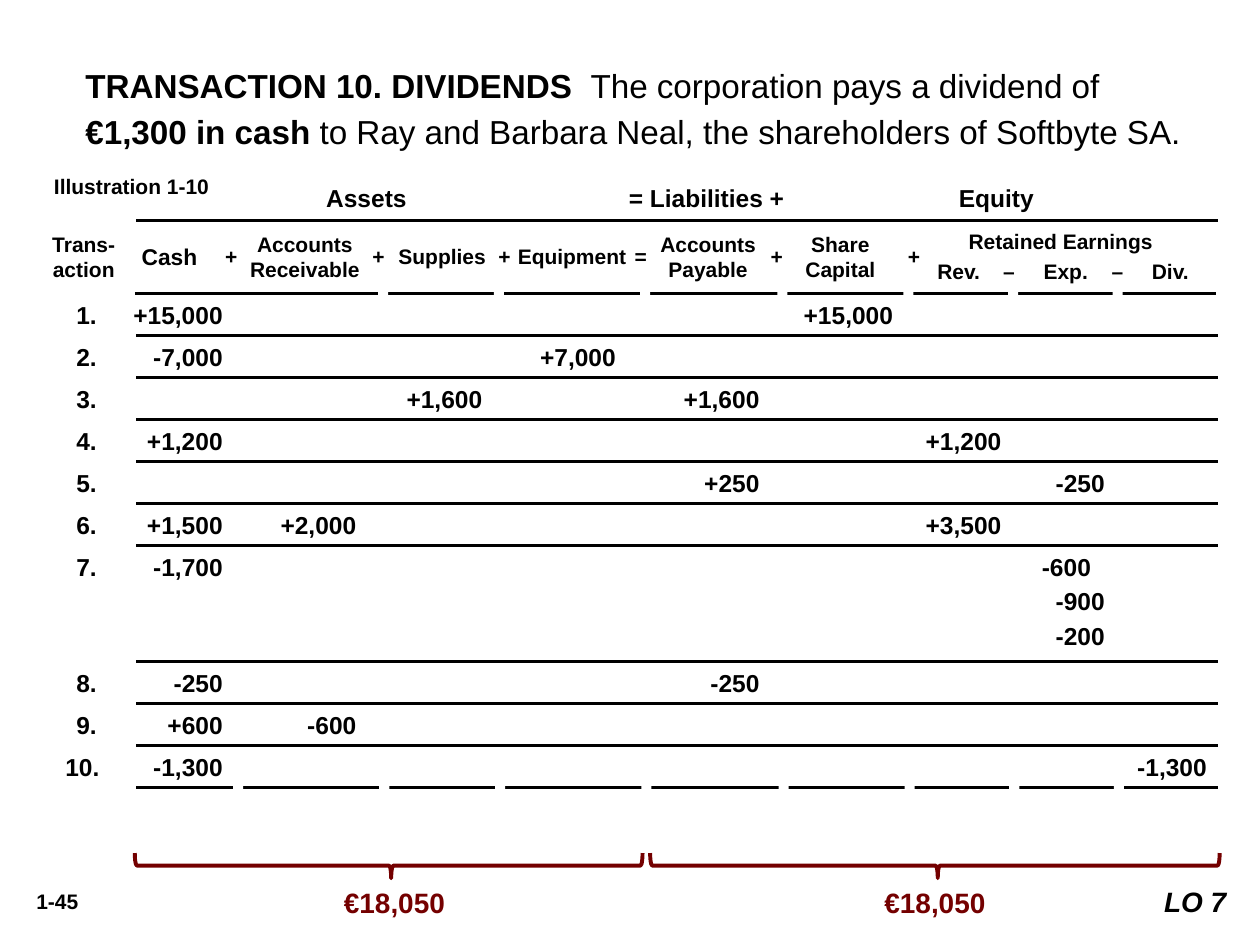
from lxml.etree import SubElement
from pptx import Presentation
from pptx.dml.color import RGBColor
from pptx.enum.shapes import MSO_CONNECTOR as CONN, MSO_SHAPE as SHAPE
from pptx.enum.text import MSO_ANCHOR as ANCHOR, PP_ALIGN as ALIGN
from pptx.oxml.ns import qn
from pptx.util import Inches, Pt

BLACK = RGBColor(0x00, 0x00, 0x00)
WHITE = RGBColor(0xFF, 0xFF, 0xFF)
MAROON = RGBColor(0x74, 0x00, 0x00)
FONT = "Arial"

# Tab stops of the ledger columns, from the left edge of the row text
STOPS = {"no": 0.25, "cash": 1.25, "receivable": 2.31, "supplies": 3.31,
         "equipment": 4.37, "payable": 5.51, "capital": 6.57, "rev": 7.43,
         "exp": 8.25, "exp_inner": 8.14, "div": 9.06}
ROW_H = 1 / 3
TALL_ROW_H = 0.92
# Each transaction is a list of lines; each line maps columns to amounts
TRANSACTIONS = [
    [{"cash": "+15,000", "capital": "+15,000"}],
    [{"cash": "-7,000", "equipment": "+7,000"}],
    [{"supplies": "+1,600", "payable": "+1,600"}],
    [{"cash": "+1,200", "rev": "+1,200"}],
    [{"payable": "+250", "exp": "-250"}],
    [{"cash": "+1,500", "receivable": "+2,000", "rev": "+3,500"}],
    [{"cash": "-1,700", "exp_inner": "-600"}, {"exp": "-900"}, {"exp": "-200"}],
    [{"cash": "-250", "payable": "-250"}],
    [{"cash": "+600", "receivable": "-600"}],
    [{"cash": "-1,300", "div": "-1,300"}],
]
# Gaps between column rules, from the left end of the rule
HEADER_GAPS = [1.93, 2.85, 4.01, 5.1, 6.1, 6.93, 7.76]
FOOTER_GAPS = [0.77] + HEADER_GAPS


def set_font(p, size, color=BLACK, bold=True, italic=None):
    f = p.font
    f.name, f.size, f.bold, f.italic = FONT, Pt(size), bold, italic
    f.color.rgb = color


def set_tabs(p, stops, align):
    tabs = SubElement(p._p.get_or_add_pPr(), qn("a:tabLst"))
    for stop in stops:
        SubElement(tabs, qn("a:tab"), pos=str(Inches(stop)), algn=align)


def add_text(s, x, y, w, h, lines, size, align=ALIGN.CENTER, anchor=ANCHOR.TOP,
             side=0.1, color=BLACK, italic=None):
    """Text box with one paragraph a line; returns its paragraphs."""
    tf = s.shapes.add_textbox(Inches(x), Inches(y), Inches(w), Inches(h)).text_frame
    tf.word_wrap = True
    tf.vertical_anchor = anchor
    tf.margin_left = tf.margin_right = Inches(side)
    for i, line in enumerate(lines):
        p = tf.add_paragraph() if i else tf.paragraphs[0]
        p.text = line
        p.alignment = align
        set_font(p, size, color, italic=italic)
    return tf.paragraphs


def add_tabbed(s, x, y, w, h, rows, size, tab_align, anchor=ANCHOR.TOP):
    """Text box whose rows are lists of (tab stop, text)."""
    lines = ["".join("\t" + text for _, text in row) for row in rows]
    paragraphs = add_text(s, x, y, w, h, lines, size, ALIGN.LEFT, anchor)
    for p, row in zip(paragraphs, rows):
        p._p.pPr.remove(p._p.pPr.find(qn("a:defRPr")))
        set_tabs(p, [stop for stop, _ in row], tab_align)
        set_font(p, size)
    return paragraphs


def add_rule(s, x, y, w):
    ln = s.shapes.add_connector(CONN.STRAIGHT, Inches(x), Inches(y), Inches(x + w), Inches(y))
    ln.line.color.rgb = BLACK
    ln.line.width = Pt(1.5)
    SubElement(ln._element.spPr, qn("a:effectLst"))


def add_broken_rule(s, x, y, w, gaps):
    """Rule parted into columns by white blocks."""
    add_rule(s, x, y, w)
    for gap in gaps:
        sp = s.shapes.add_shape(SHAPE.RECTANGLE, Inches(x + gap), Inches(y - 0.08),
                                Inches(0.08), Inches(0.17))
        sp.shadow.inherit = False
        sp.fill.solid()
        sp.fill.fore_color.rgb = WHITE
        sp.line.fill.background()


def add_title(s, x, y, w, h):
    p = add_text(s, x, y, w, h, [""], 19, ALIGN.LEFT)[0]
    p.line_spacing = 1.15
    for text, bold in [
        ("TRANSACTION 10. DIVIDENDS  ", True),
        ("The corporation pays a dividend of ", False),
        ("€1,300 in cash ", True),
        ("to Ray and Barbara Neal, the shareholders of Softbyte SA.", False),
    ]:
        r = p.add_run()
        r.text = text
        r.font.bold = bold


def add_header(s, x, y, w):
    # Column names: offset, width, size, side inset, lines
    for dx, cw, size, side, lines in [
        (-0.83, 0.83, 12, 0.1, ["Trans-", "action"]),
        (-0.15, 0.83, 13, 0.1, ["Cash"]),
        (0.84, 1, 12, 0, ["Accounts", "Receivable"]),
        (2.03, 0.8, 12, 0, ["Supplies"]),
        (2.92, 1.08, 12, 0, ["Equipment"]),
        (4, 1.08, 12, 0.1, ["Accounts", "Payable"]),
        (5.09, 1, 12, 0.1, ["Share Capital"]),
    ]:
        add_text(s, x + dx, y, cw, 0.57, lines, size, anchor=ANCHOR.MIDDLE, side=side)
    # Retained earnings and its three parts
    parts = [(0.34, "Rev."), (0.74, "–"), (1.19, "Exp."), (1.6, "–"), (2.02, "Div.")]
    for p in add_tabbed(s, x + 6.09, y, 2.5, 0.57,
                        [[(1.15, "Retained Earnings")], parts],
                        12, "ctr", ANCHOR.MIDDLE):
        p.space_before = Pt(3)
    add_broken_rule(s, x - 0.01, y + 0.58, w - 0.01, HEADER_GAPS)
    # Equation line
    add_tabbed(s, x - 0.08, y - 0.33, w + 0.08, 0.29,
               [[(1.81, "Assets"), (4.51, "= Liabilities +"), (6.81, "Equity")]],
               14, "ctr", ANCHOR.MIDDLE)
    add_rule(s, x, y, w)
    # Signs between the columns
    for dx, sign in [(0.67, "+"), (1.84, "+"), (2.84, "+"), (3.92, "="), (5, "+"), (6.09, "+")]:
        add_text(s, x + dx, y, 0.17, 0.57, [sign], 12, anchor=ANCHOR.MIDDLE, side=0)


def add_ledger(s, x, y, w):
    for number, lines in enumerate(TRANSACTIONS, 1):
        rows = [[(STOPS[col], text) for col, text in line.items()] for line in lines]
        rows[0].insert(0, (STOPS["no"], f"{number}."))
        h = TALL_ROW_H if len(rows) > 1 else ROW_H
        for p in add_tabbed(s, x - 0.66, y, w + 0.83, h, rows, 14, "r")[1:]:
            p.space_before = Pt(3)
        y += h
        if number < len(TRANSACTIONS):
            add_rule(s, x, y, w)
    add_broken_rule(s, x, y, w, FOOTER_GAPS)


def add_total(s, x, y, w, text_x, text_w, total):
    # The brace is drawn upright, then turned to point down
    depth = 0.2
    sp = s.shapes.add_shape(SHAPE.LEFT_BRACE, Inches(x + (w - depth) / 2),
                            Inches(y + (depth - w) / 2), Inches(depth), Inches(w))
    sp.rotation = 270
    sp.adjustments[0], sp.adjustments[1] = 0.083, 0.505
    sp.shadow.inherit = False
    sp.fill.background()
    sp.line.color.rgb = MAROON
    sp.line.width = Pt(2.25)
    add_text(s, text_x, y + 0.21, text_w, 0.37, [total], 16, color=MAROON)


def add_footer(s, y):
    add_text(s, 0.08, y, 0.75, 0.3, ["1-45"], 12)
    add_text(s, 9, y - 0.03, 0.83, 0.37, ["LO 7"], 16, ALIGN.RIGHT, italic=True)


def main():
    prs = Presentation()
    prs.slide_width, prs.slide_height = Inches(10), Inches(7.5)
    s = prs.slides.add_slide(prs.slide_layouts[6])
    add_header(s, 1.08, 1.75, 8.59)
    add_ledger(s, 1.08, 2.33, 8.59)
    add_title(s, 0.58, 0.42, 9.07, 0.84)
    add_total(s, 1.07, 6.77, 4.03, 2.42, 1.42, "€18,050")
    add_total(s, 5.16, 6.77, 4.52, 6.67, 1.5, "€18,050")
    add_text(s, 0.33, 1.33, 1.62, 0.3, ["Illustration 1-10"], 12, ALIGN.LEFT)
    add_footer(s, 7)
    prs.save("out.pptx")


if __name__ == "__main__":
    main()
